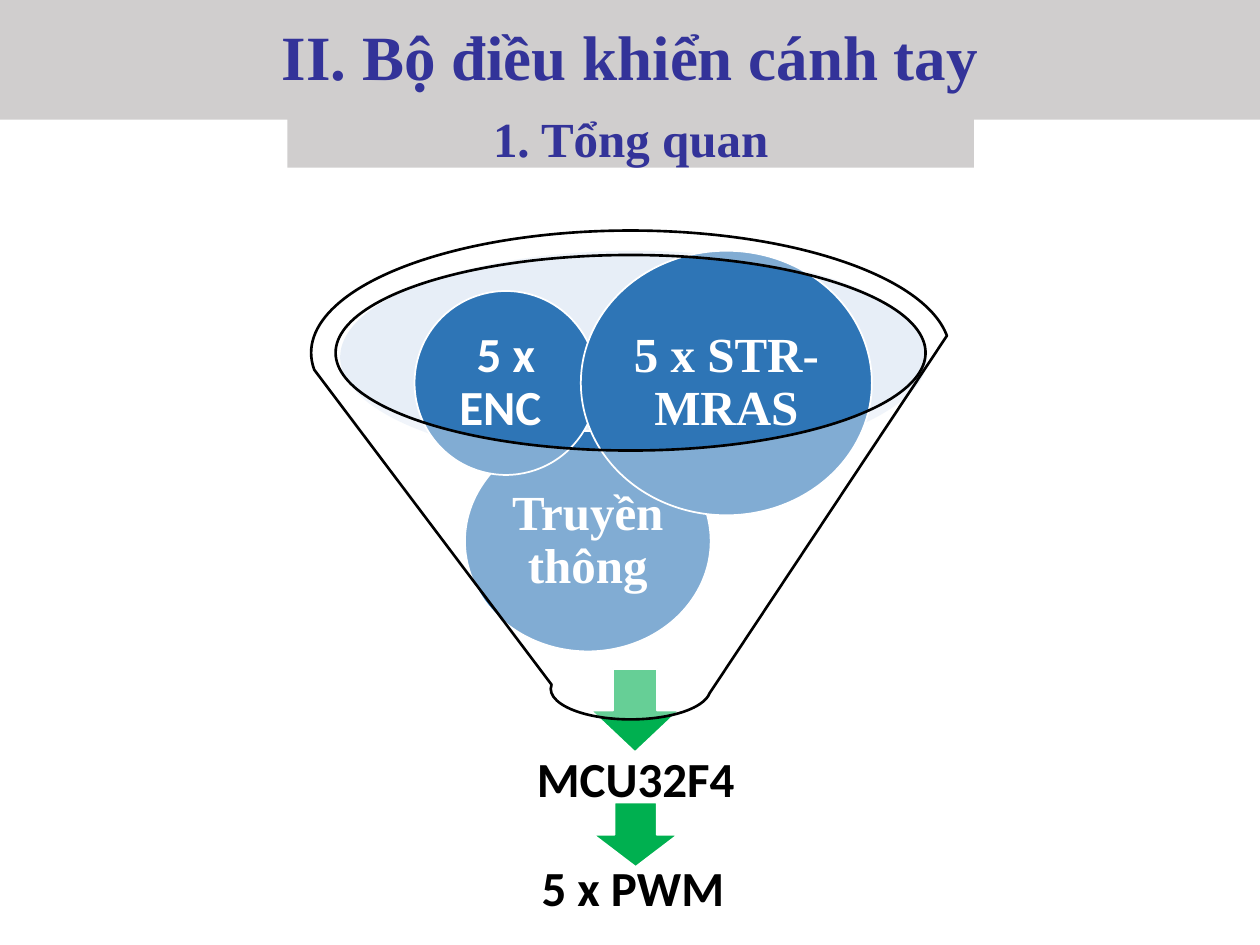
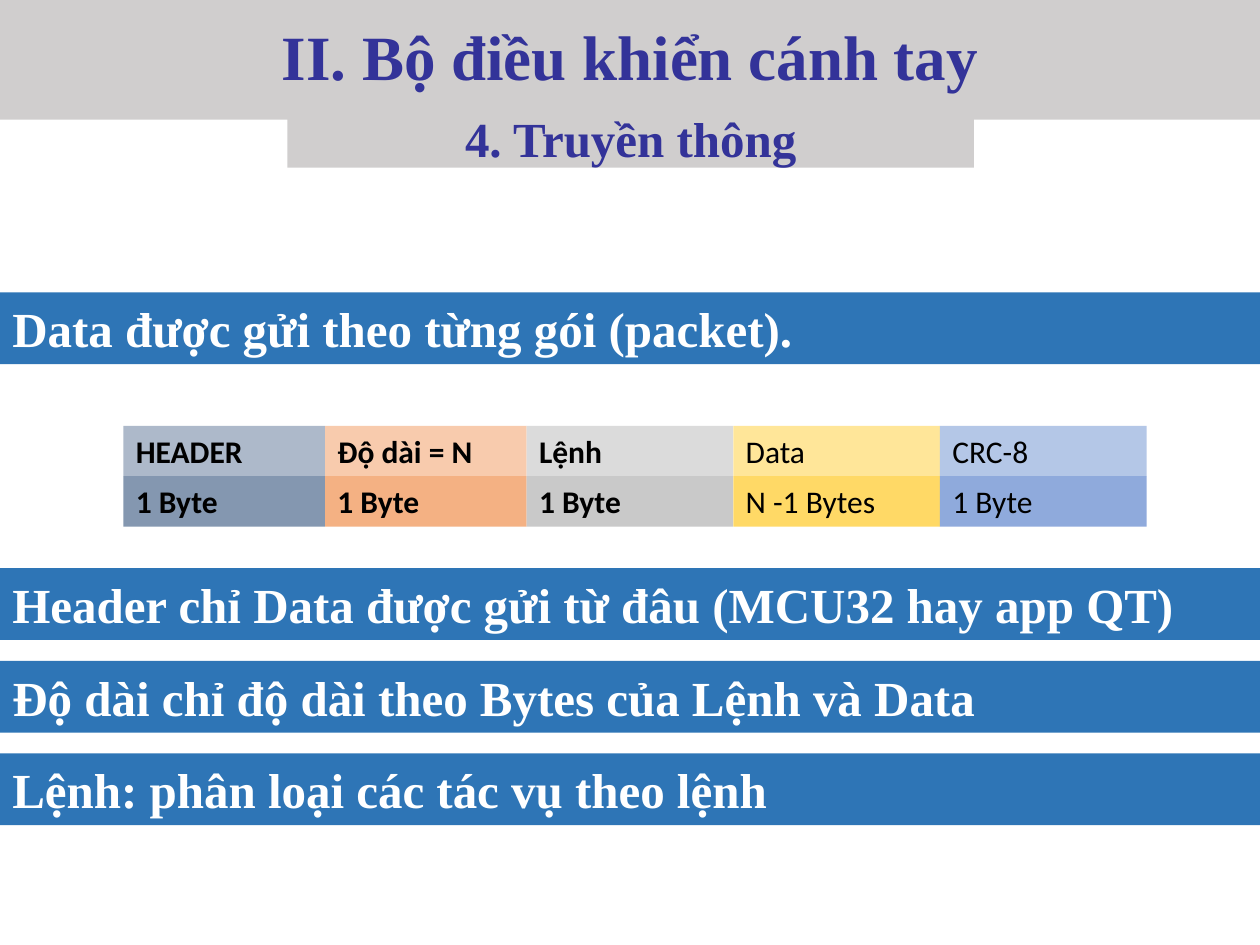
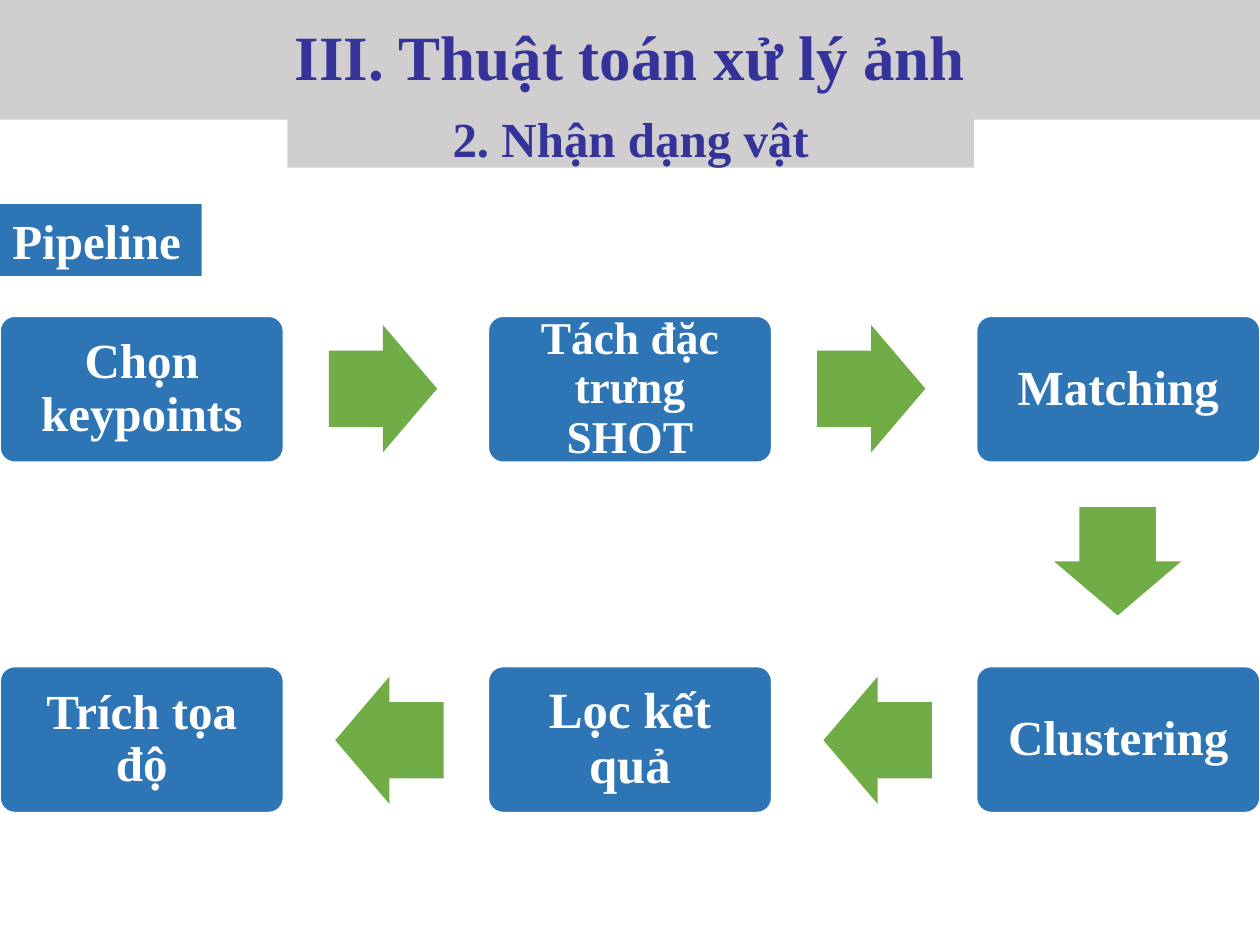
from pptx import Presentation
from pptx.dml.color import RGBColor
from pptx.enum import shapes, text
from pptx.oxml.ns import qn
from pptx.oxml.xmlchemy import OxmlElement
from pptx.util import Inches, Pt

COLORS = {
    "band": "D0CECE", "heading": "333399", "blue": "2E75B6", "pool": "C4D5EB",
    "output": "00B050", "flow": "70AD47", "white": "FFFFFF", "black": "000000",
}
SERIF, SANS = "Times New Roman", "Calibri"
KIND = shapes.MSO_SHAPE
CENTER = text.PP_ALIGN.CENTER
MIDDLE = text.MSO_ANCHOR.MIDDLE
HEADING = {"color": "heading", "align": CENTER, "anchor": MIDDLE, "spacing": 0.9}
LABEL = {"align": CENTER, "anchor": MIDDLE, "spacing": 0.9}

# field name, size, upper fill, lower fill, column width, bold
PACKET = [
    ("HEADER", "1 Byte", "ADB9CA", "8497B0", 1.6, True),
    ("Độ dài = N", "1 Byte", "F8CBAD", "F4B183", 1.6, True),
    ("Lệnh", "1 Byte", "DBDBDB", "C9C9C9", 1.64, True),
    ("Data", "N -1 Bytes", "FFE699", "FFD966", 1.64, False),
    ("CRC-8", "1 Byte", "B4C7E7", "8FAADC", 1.64, False),
]
# step, font size, column, row
STEPS = [
    ("Chọn keypoints", 28, 0, 0), ("Tách đặc trưng SHOT", 26, 1, 0),
    ("Matching", 28, 2, 0), ("Clustering", 28, 2, 1),
    ("Lọc kết quả", 29, 1, 1), ("Trích tọa độ", 28, 0, 1),
]


def rgb(color):
    return RGBColor.from_string(COLORS.get(color, color))


def write(shape, words, size=28, font=SERIF, color="white", bold=True,
          align=text.PP_ALIGN.LEFT, anchor=text.MSO_ANCHOR.TOP, spacing=1.0, inset=None):
    frame = shape.text_frame
    frame.word_wrap = True
    frame.auto_size = text.MSO_AUTO_SIZE.NONE
    frame.vertical_anchor = anchor
    if inset is not None:
        for side in ("left", "top", "right", "bottom"):
            setattr(frame, f"margin_{side}", Inches(inset))
    paragraph = frame.paragraphs[0]
    paragraph.alignment, paragraph.line_spacing = align, spacing
    run = paragraph.add_run()
    run.text = words
    for name, value in {"name": font, "size": Pt(size), "bold": bold}.items():
        setattr(run.font, name, value)
    run.font.color.rgb = rgb(color)


def fill_with(shape, color, opacity=None):
    shape.fill.solid()
    shape.fill.fore_color.rgb = rgb(color)
    if opacity is not None:
        alpha = OxmlElement("a:alpha")
        alpha.set("val", str(opacity * 1000))
        shape.element.spPr.find(".//" + qn("a:srgbClr")).append(alpha)


def add_figure(slide, kind, box, fill, line=None, line_width=1, opacity=None,
               adjustments=(), rotation=0):
    shape = slide.shapes.add_shape(kind, *map(Inches, box))
    shape.shadow.inherit = False
    shape.rotation = rotation
    for index, value in enumerate(adjustments):
        shape.adjustments[index] = value
    fill_with(shape, fill, opacity)
    if line:
        shape.line.color.rgb = rgb(line)
        shape.line.width = Pt(line_width)
    else:
        shape.line.fill.background()
    return shape


def add_caption(slide, box, words, **style):
    write(slide.shapes.add_textbox(*map(Inches, box)), words, **style)


def add_bar(slide, top, words, width=10):
    write(add_figure(slide, KIND.RECTANGLE, (0, top, width, 0.57), "blue"), words)


def add_headed_slide(deck, heading, subheading):
    slide = deck.slides.add_slide(deck.slide_layouts[5])
    title = slide.shapes.title
    title.left, title.top, title.width, title.height = map(Inches, (0, 0, 10, 0.95))
    fill_with(title, "band")
    write(title, heading, size=36, **HEADING)
    tab = add_figure(slide, KIND.RECTANGLE, (2.28, 0.92, 5.45, 0.41), "band")
    write(tab, subheading, **HEADING)
    return slide


def add_overview(deck):
    slide = add_headed_slide(deck, "II. Bộ điều khiển cánh tay", "1. Tổng quan")
    add_figure(slide, KIND.OVAL, (2.7, 1.99, 4.66, 1.69), "pool", opacity=40)
    add_figure(slide, KIND.DOWN_ARROW, (4.69, 5.31, 0.7, 0.66), "output", "white")
    add_caption(slide, (3.37, 5.78, 3.35, 0.84), "MCU32F4", font=SANS, color="black",
                inset=0.22, **LABEL)
    for words, font, box in (
        ("Truyền thông", SERIF, (3.69, 3.42, 1.95, 1.75)),
        ("5 x ENC ", SANS, (3.29, 2.31, 1.45, 1.46)),
        ("5 x STR-MRAS", SERIF, (4.61, 1.99, 2.31, 2.1)),
    ):
        ingredient = add_figure(slide, KIND.OVAL, box, "blue", "white")
        write(ingredient, words, font=font, inset=0.04, **LABEL)
    add_figure(slide, KIND.FUNNEL, (2.47, 1.83, 5.07, 3.88), "white", "black", 1.5, opacity=40)
    add_figure(slide, KIND.DOWN_ARROW, (4.71, 6.37, 0.67, 0.51), "output", "white")
    add_caption(slide, (4.2, 6.76, 2.76, 0.57), "5 x PWM", font=SANS, color="black")


def add_communication(deck):
    slide = add_headed_slide(deck, "II. Bộ điều khiển cánh tay", "4. Truyền thông")
    add_bar(slide, 2.32, "Data được gửi theo từng gói (packet).")
    left, row_height = 0.98, 0.4
    for field, length, upper, lower, width, bold in PACKET:
        for row, (words, fill) in enumerate(((field, upper), (length, lower))):
            box = (left, 3.38 + row * row_height, width, row_height)
            write(add_figure(slide, KIND.RECTANGLE, box, fill), words,
                  size=18, font=SANS, color="black", bold=bold)
        left += width
    for index, words in enumerate((
        "Header chỉ Data được gửi từ đâu (MCU32 hay app QT)",
        "Độ dài chỉ độ dài theo Bytes của Lệnh và Data",
        "Lệnh: phân loại các tác vụ theo lệnh",
    )):
        add_bar(slide, 4.51 + index * 0.735, words)


def add_recognition(deck):
    slide = add_headed_slide(deck, "III. Thuật toán xử lý ảnh", "2. Nhận dạng vật")
    add_bar(slide, 1.62, "Pipeline", width=1.6)
    column_pitch, first_row, row_pitch = 3.875, 2.51, 2.78
    for words, size, column, row in STEPS:
        box = (column * column_pitch, first_row + row * row_pitch, 2.25, 1.16)
        step = add_figure(slide, KIND.ROUNDED_RECTANGLE, box, "blue", "white",
                          adjustments=(0.1,))
        write(step, words, size=size, inset=0.12 if size > 26 else 0.11, **LABEL)
    arrows = [(8.44, 3.95, 90)]
    for gap in range(2):
        arrows.append((2.61 + gap * column_pitch, 2.58, 0))
        arrows.append((2.66 + gap * column_pitch, 5.37, 180))
    for left, top, rotation in arrows:
        add_figure(slide, KIND.RIGHT_ARROW, (left, top, 0.86, 1.01), "flow",
                   adjustments=(0.6, 0.5), rotation=rotation)


def main():
    deck = Presentation()
    deck.slide_width, deck.slide_height = Inches(10), Inches(7.5)
    add_overview(deck)
    add_communication(deck)
    add_recognition(deck)
    deck.save("out.pptx")


if __name__ == "__main__":
    main()
